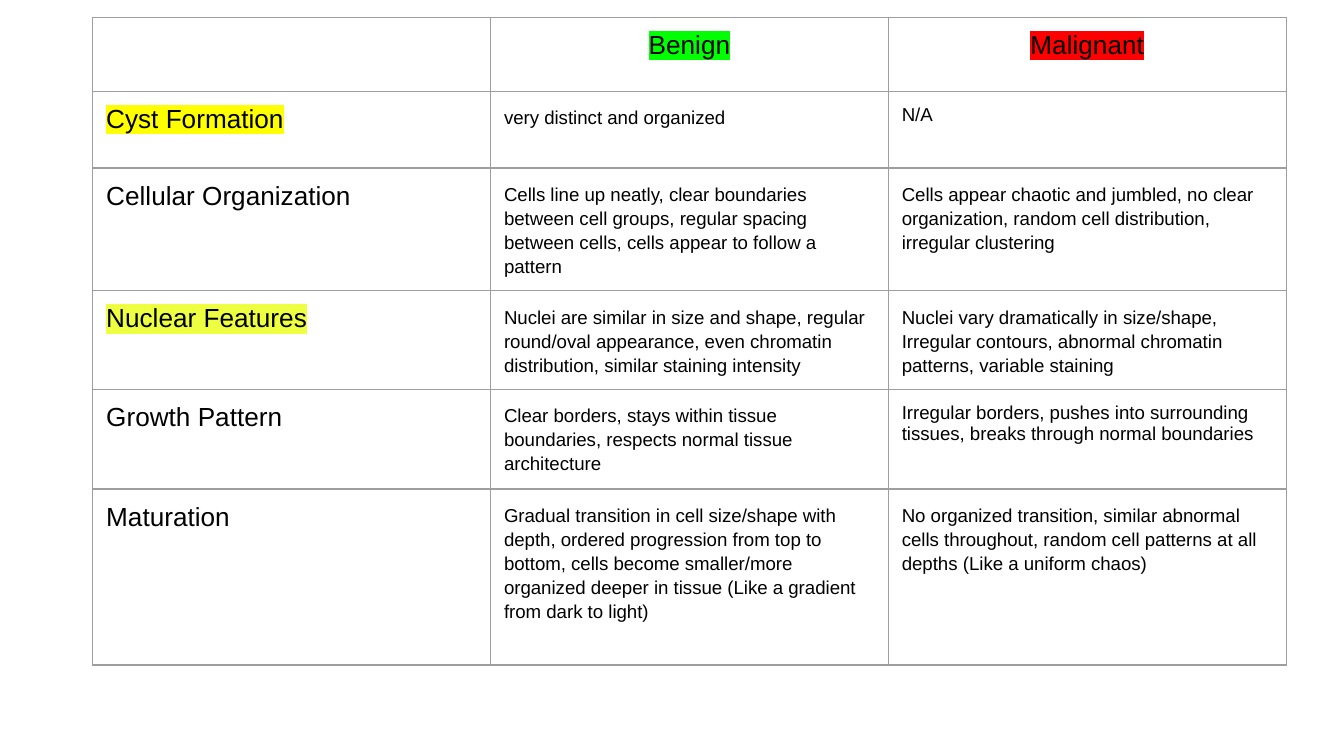
from lxml import etree
from pptx import Presentation
from pptx.dml.color import RGBColor
from pptx.enum.text import PP_ALIGN
from pptx.oxml.ns import qn
from pptx.util import Inches, Pt

CENTER, LEFT = PP_ALIGN.CENTER, PP_ALIGN.LEFT
THEME = {
    "font": "Arial", "text": "000000", "border": "9E9E9E", "border_width": Pt(0.75),
    "heading": Pt(14), "body": Pt(10), "loose": 1.15, "single": 1.0,
    "inset": Inches(0.1),
}
HIGHLIGHTS = {
    "Benign": "00FF00", "Malignant": "FF0000",
    "Cyst Formation": "FFFF00", "Nuclear Features": "EEFF41",
}
COLUMN_WIDTH = 2.96
ROW_HEIGHTS = [0.55, 0.57, 0.91, 0.73, 0.74, 1.31]
ROWS = [
    ("", "Benign", "Malignant"),
    ("Cyst Formation", "very distinct and organized", "N/A"),
    ("Cellular Organization",
     "Cells line up neatly, clear boundaries between cell groups, regular spacing "
     "between cells, cells appear to follow a pattern",
     "Cells appear chaotic and jumbled, no clear organization, random cell "
     "distribution, irregular clustering"),
    ("Nuclear Features",
     "Nuclei are similar in size and shape, regular round/oval appearance, even "
     "chromatin distribution, similar staining intensity",
     "Nuclei vary dramatically in size/shape, Irregular contours, abnormal "
     "chromatin patterns, variable staining"),
    ("Growth Pattern",
     "Clear borders, stays within tissue boundaries, respects normal tissue architecture",
     "Irregular borders, pushes into surrounding tissues, breaks through normal boundaries"),
    ("Maturation",
     "Gradual transition in cell size/shape with depth, ordered progression from "
     "top to bottom, cells become smaller/more organized deeper in tissue (Like a "
     "gradient from dark to light)",
     "No organized transition, similar abnormal cells throughout, random cell "
     "patterns at all depths (Like a uniform chaos)"),
]
SINGLE_SPACED = {(1, 2), (4, 2)}


def add_color(parent, color):
    etree.SubElement(parent, qn("a:srgbClr"), val=color)


def add_borders(cell):
    properties = cell._tc.get_or_add_tcPr()
    for index, side in enumerate(("a:lnL", "a:lnR", "a:lnT", "a:lnB")):
        line = etree.Element(qn(side), w=str(THEME["border_width"]))
        add_color(etree.SubElement(line, qn("a:solidFill")), THEME["border"])
        properties.insert(index, line)


deck = Presentation()
deck.slide_width = Inches(10)
deck.slide_height = deck.slide_width * 9 // 16
page = deck.slides.add_slide(deck.slide_layouts[6])

frame = page.shapes.add_table(
    len(ROWS), len(ROWS[0]), Inches(0.69), Inches(0.13),
    Inches(COLUMN_WIDTH * len(ROWS[0])), Inches(sum(ROW_HEIGHTS)))
table = frame.table
table.first_row = table.horz_banding = False
for column in table.columns:
    column.width = Inches(COLUMN_WIDTH)
for row, height in zip(table.rows, ROW_HEIGHTS):
    row.height = Inches(height)

for row_index, row_texts in enumerate(ROWS):
    for column_index, text in enumerate(row_texts):
        cell = table.cell(row_index, column_index)
        cell.fill.background()
        add_borders(cell)
        for side in ("left", "right", "top", "bottom"):
            setattr(cell, f"margin_{side}", THEME["inset"])
        if not text:
            continue
        is_heading = row_index == 0 or column_index == 0
        is_single = is_heading or (row_index, column_index) in SINGLE_SPACED
        para = cell.text_frame.paragraphs[0]
        para.alignment = CENTER if row_index == 0 else LEFT
        para.line_spacing = THEME["single" if is_single else "loose"]
        span = para.add_run()
        span.text = text
        span_format = {
            "name": THEME["font"],
            "size": THEME["heading" if is_heading else "body"],
            "bold": False,
        }
        for name, value in span_format.items():
            setattr(span.font, name, value)
        span.font.color.rgb = RGBColor.from_string(THEME["text"])
        if text in HIGHLIGHTS:
            highlight = etree.Element(qn("a:highlight"))
            add_color(highlight, HIGHLIGHTS[text])
            span.font._element.find(qn("a:solidFill")).addnext(highlight)

deck.save("out.pptx")
